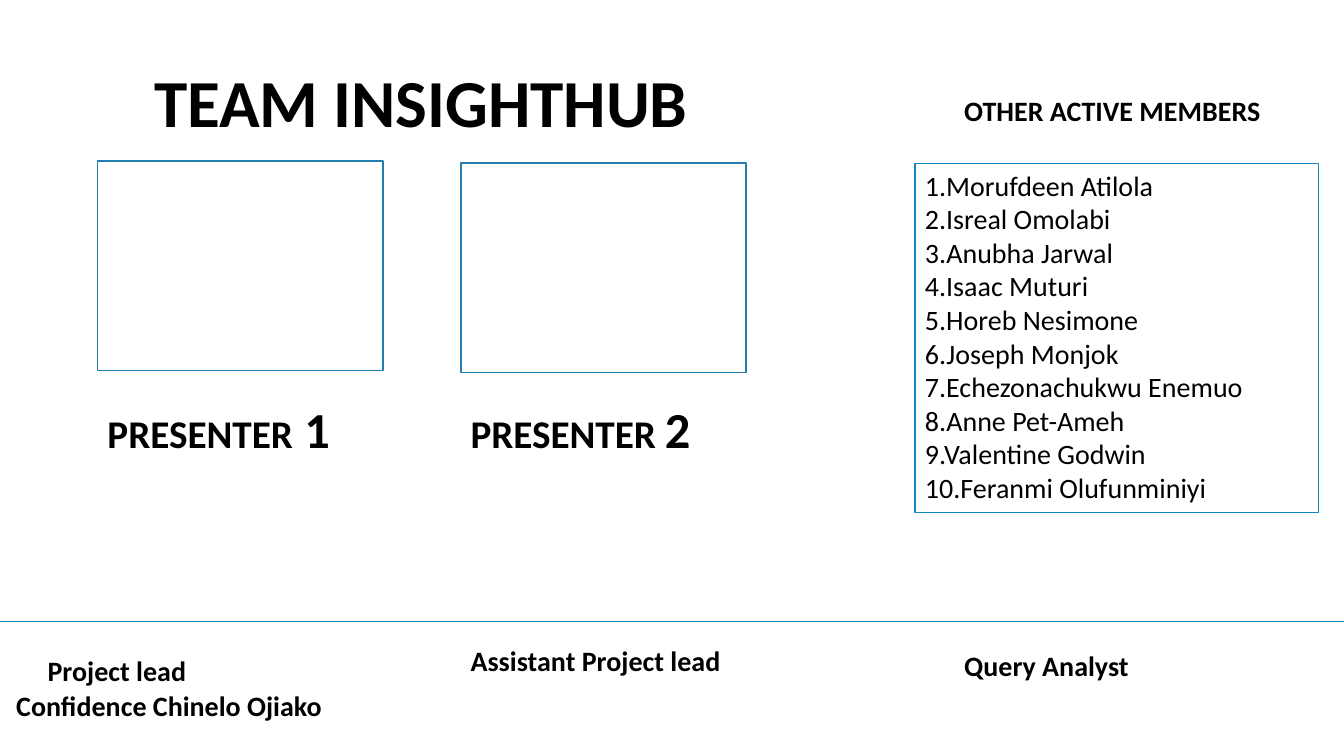
from pptx import Presentation
from pptx.dml.color import RGBColor
from pptx.enum.shapes import MSO_CONNECTOR, MSO_SHAPE
from pptx.enum.text import MSO_ANCHOR, MSO_AUTO_SIZE, PP_ALIGN
from pptx.oxml.ns import qn
from pptx.util import Cm, Pt
from lxml import etree

BLACK = RGBColor(0x00, 0x00, 0x00)
FRAME_BLUE = RGBColor(0x24, 0x7F, 0xAF)
LINE_BLUE = RGBColor(0x12, 0x87, 0xC3)
LEFT, CENTER = PP_ALIGN.LEFT, PP_ALIGN.CENTER
TOP = MSO_ANCHOR.TOP
GROW = MSO_AUTO_SIZE.SHAPE_TO_FIT_TEXT
RECTANGLE = MSO_SHAPE.RECTANGLE
STRAIGHT = MSO_CONNECTOR.STRAIGHT

SLIDE_WIDTH, SLIDE_HEIGHT = 33.87, 19.05
PRESENTER_LEFTS = (2.46, 11.61)
PRESENTER_WIDTH = 7.19
MEMBERS_HEADING_LEFT = 24.05
MEMBERS = (
    "Morufdeen Atilola", "Isreal Omolabi", "Anubha Jarwal", "Isaac Muturi",
    "Horeb Nesimone", "Joseph Monjok", "Echezonachukwu Enemuo",
    "Anne Pet-Ameh", "Valentine Godwin", "Feranmi Olufunminiyi",
)


def add_run(paragraph, text, *, size=20, bold=True, color=BLACK, font="Calibri"):
    run = paragraph.add_run()
    run.text = text
    run.font.name = font
    run.font.size = Pt(size)
    run.font.bold = bold
    run.font.color.rgb = color


class SlideBuilder:
    """Holds the line style and the current slide."""

    def __init__(self, slide, line_color=LINE_BLUE, line_width=0.75):
        self.slide = slide
        self.line_color = line_color
        self.line_width = line_width

    def frame(self, left, top, width, height, color=None, weight=None):
        shape = self.slide.shapes.add_shape(
            RECTANGLE, Cm(left), Cm(top), Cm(width), Cm(height))
        shape.shadow.inherit = False
        shape.fill.background()
        shape.line.color.rgb = color or self.line_color
        shape.line.width = Pt(weight or self.line_width)
        return shape

    def text(self, left, top, width, height, lines, **options):
        box = self.slide.shapes.add_textbox(Cm(left), Cm(top), Cm(width), Cm(height))
        self.fill_text(box, lines, **options)
        return box

    def fill_text(self, shape, lines, align=LEFT, **style):
        """Each line is a list of (text, size) runs."""
        text_frame = shape.text_frame
        text_frame.word_wrap = True
        text_frame.auto_size = GROW
        text_frame.vertical_anchor = TOP
        for index, runs in enumerate(lines):
            paragraph = text_frame.add_paragraph() if index else text_frame.paragraphs[0]
            paragraph.alignment = align
            for text, size in runs:
                add_run(paragraph, text, size=size, **style)

    def divider(self, top):
        line = self.slide.shapes.add_connector(
            STRAIGHT, Cm(0), Cm(top), Cm(SLIDE_WIDTH), Cm(top))
        line.line.color.rgb = self.line_color
        line.line.width = Pt(self.line_width)
        properties = line._element.find(qn("p:spPr"))
        etree.SubElement(properties, qn("a:effectLst"))


presentation = Presentation()
presentation.slide_width = Cm(SLIDE_WIDTH)
presentation.slide_height = Cm(SLIDE_HEIGHT)
slide = presentation.slides.add_slide(presentation.slide_layouts[6])
builder = SlideBuilder(slide)

# Title and presenters
builder.text(2.46, 1.4, 16.31, 2.31, [[("TEAM INSIGHTHUB", 48)]], align=CENTER)
for number, (left, top) in enumerate(zip(PRESENTER_LEFTS, (4.06, 4.11)), 1):
    builder.frame(left, top, PRESENTER_WIDTH, 5.28, FRAME_BLUE, 1.25)
    # The space before the first number is set in the larger size
    runs = ([("PRESENTER", 28), (" 1", 36)] if number == 1
            else [("PRESENTER ", 28), (str(number), 36)])
    builder.text(left, 9.91, PRESENTER_WIDTH, 1.8, [runs])

# Other active members
builder.text(MEMBERS_HEADING_LEFT, 2.24, 9.17, 1.12, [[("OTHER ACTIVE MEMBERS", 20)]])
members = builder.frame(23.06, 4.11, 10.16, 8.81)
builder.fill_text(members, [[(f"{number}.{name}", 20)]
                            for number, name in enumerate(MEMBERS, 1)], bold=False)

# Project roles
builder.divider(15.67)
lead = builder.text(0, 16.21, 10.59, 2.13,
                    [[("Project lead", 20)], [("Confidence Chinelo Ojiako", 20)]])
lead.text_frame.margin_top = Cm(0.26)
for paragraph, indent in zip(lead.text_frame.paragraphs, (0.95, 0.16)):
    paragraph._p.get_or_add_pPr().set("marL", str(int(Cm(indent))))
lead.text_frame.paragraphs[0].space_after = Pt(1)
builder.text(PRESENTER_LEFTS[1], 16.08, 9.35, 1.88, [[("Assistant Project lead", 20)]])
builder.text(MEMBERS_HEADING_LEFT, 16.21, 5.31, 1.12, [[("Query Analyst", 20)]])

presentation.save("out.pptx")
